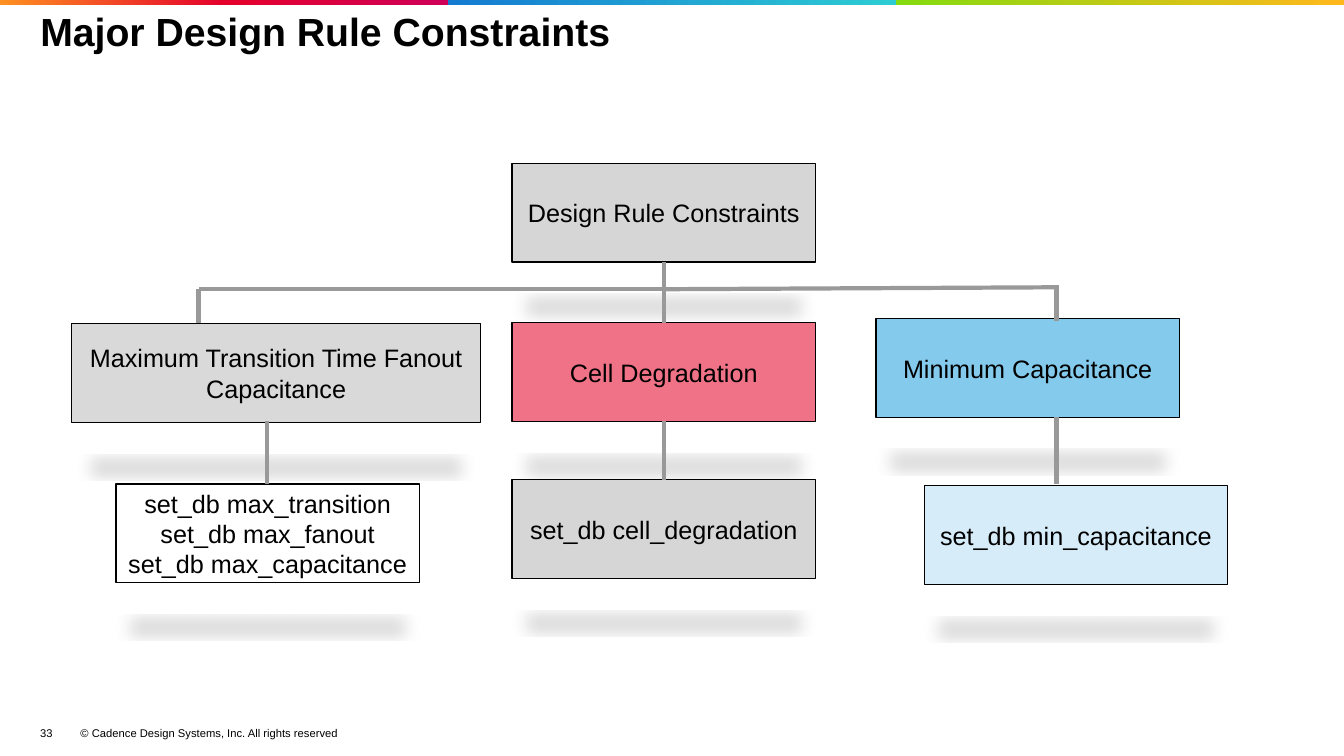
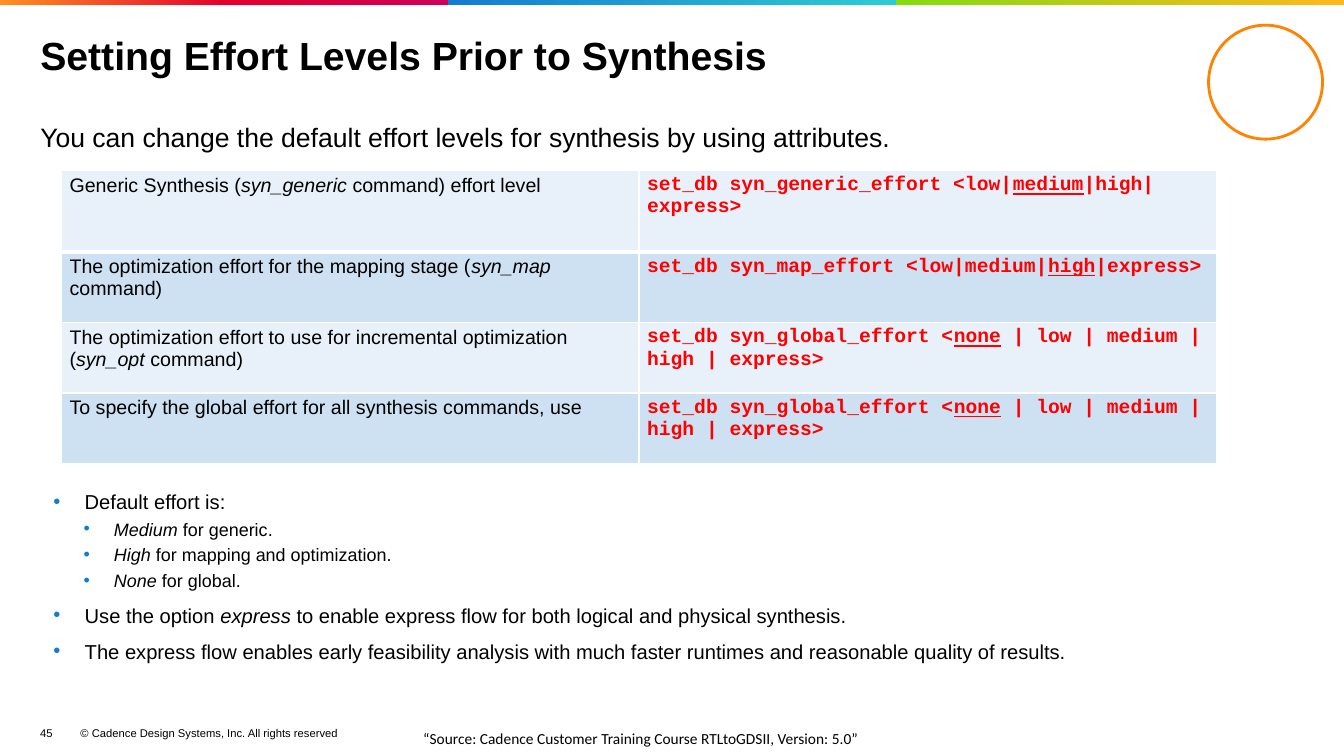
"""Build two slides on design rule constraints and synthesis effort levels."""
from dataclasses import dataclass

from lxml import etree
from pptx import Presentation
from pptx import util as u
from pptx.dml import color
from pptx.enum import shapes, text
from pptx.oxml import ns, parse_xml

Pt = u.Pt
COLORS = {
    "ink": "000000", "paper": "FFFFFF", "line": "999999", "bullet": "147BD1",
    "code": "FF0000", "ring": "FF8200", "grey": "D6D6D6", "light_grey": "D9D9D9",
    "pink": "F07286", "blue": "83CAEC", "pale_blue": "D6EDF9",
    "row_light": "E8F1F9", "row_dark": "CEE1F3",
}
BANDS = (("FF9021", "E4002B", "CE0058"), ("147BD1", "2DCCD3"), ("84DB0F", "FFB81C"))
A_NS = ns.nsdecls("a")
WIDTH, HEIGHT = 960, 540
MARGIN, CONTENT_W = 21.6, 914.4
COPYRIGHT = "© Cadence Design Systems, Inc. All rights reserved"


@dataclass
class Box:
    text: str
    left: float
    top: float
    fill: str
    width: float = 216.7
    height: float = 70.6


@dataclass
class Link:
    x1: float
    y1: float
    x2: float
    y2: float


@dataclass
class Style:
    size: float
    font: str = "Arial"
    color: str = "ink"
    bold: bool = False
    emphasis: str = "italic"


@dataclass
class Bullet:
    text: str
    level: int = 0


@dataclass
class Level:
    size: float
    margin: float
    indent: float
    before: float


LEVELS = (Level(14.4, 29.5, -22.3, 12), Level(12.8, 50.4, -21.6, 6))
LABEL = Style(14)
CODE = Style(14, "Courier New", "code", True, "underline")

CENTER_X, LEFT_X, RIGHT_X, BUS_Y = 474.5, 141.8, 754.6, 206.6
BOXES = (
    Box("set_db min_capacitance", 660.2, 347, "pale_blue"),
    Box("Maximum Transition Time Fanout Capacitance", 51.1, 231.1, "light_grey", 292.3),
    Box("set_db cell_degradation", 365.8, 342.7, "grey"),
    Box("Cell Degradation", 365.8, 230.4, "pink"),
    Box("Design Rule Constraints", 365.8, 116.6, "grey"),
    Box("set_db max_transition\nset_db max_fanout\nset_db max_capacitance",
        82.8, 345.6, "paper"),
    Box("Minimum Capacitance", 625.7, 227.5, "blue"),
)
LINKS = (
    Link(CENTER_X, 187.2, CENTER_X, 230.4),
    Link(CENTER_X, BUS_Y, LEFT_X, BUS_Y),
    Link(LEFT_X, BUS_Y, LEFT_X, 230.4),
    Link(CENTER_X, BUS_Y, RIGHT_X, 205.2),
    Link(RIGHT_X, 203.8, RIGHT_X, 229),
    Link(190.8, 301, 190.8, 345.6),
    Link(CENTER_X, 301, CENTER_X, 342.7),
    Link(RIGHT_X, 298.1, RIGHT_X, 345.6),
)
EFFORTS = (
    ("Generic Synthesis (*syn_generic* command) effort level",
     "set_db syn_generic_effort <low|*medium*|high|express>"),
    ("The optimization effort for the mapping stage (*syn_map* command)",
     "set_db syn_map_effort <low|medium|*high*|express>"),
    ("The optimization effort to use for incremental optimization (*syn_opt *command)",
     "set_db syn_global_effort <*none* | low | medium | high | express>"),
    ("To specify the global effort for all synthesis commands, use",
     "set_db syn_global_effort <*none* | low | medium | high | express>"),
)
BULLETS = (
    Bullet("Default effort is:"),
    Bullet("*Medium *for generic.", 1),
    Bullet("*High* for mapping and optimization.", 1),
    Bullet("*None* for global.", 1),
    Bullet("Use the option *express *to enable express flow for both logical "
           "and physical synthesis."),
    Bullet("The express flow enables early feasibility analysis with much faster "
           "runtimes and reasonable quality of results."),
)


def rgb(name: str) -> color.RGBColor:
    return color.RGBColor.from_string(COLORS[name])


def set_font(font, style: Style) -> None:
    font.name, font.size, font.bold = style.font, Pt(style.size), style.bold
    font.color.rgb = rgb(style.color)


def write(p, marked: str, style: Style) -> None:
    for i, part in enumerate(marked.split("*")):
        if part:
            r = p.add_run()
            r.text = part
            set_font(r.font, style)
            if i % 2:
                setattr(r.font, style.emphasis, True)


def place(sp, left: float, top: float, width: float, height: float) -> None:
    sp.left, sp.top, sp.width, sp.height = Pt(left), Pt(top), Pt(width), Pt(height)


def add_bands(prs, s) -> None:
    width = WIDTH / len(BANDS)
    for i, stops in enumerate(BANDS):
        sp = s.shapes.add_shape(shapes.MSO_SHAPE.RECTANGLE, Pt(i * width), 0,
                                Pt(width), Pt(3.6))
        sp.shadow.inherit = False
        sp.line.fill.background()
        sp.fill.gradient()
        sp.fill.gradient_angle = 0
        stop_list = sp.element.xpath(".//a:gsLst")[0]
        for old in list(stop_list):
            stop_list.remove(old)
        for j, value in enumerate(stops):
            pos = 100000 * j // (len(stops) - 1)
            stop_list.append(parse_xml(
                f'<a:gs {A_NS} pos="{pos}"><a:srgbClr val="{value}"/></a:gs>'))
        sp.element.xpath(".//p:cNvPr")[0].set("id", str(100 + i))
        prs.slide_master.shapes.element.append(sp.element)


def add_label(s, words: str, left: float, top: float, width: float,
              height: float, style: Style, anchor=text.MSO_ANCHOR.MIDDLE) -> None:
    tf = s.shapes.add_textbox(Pt(left), Pt(top), Pt(width), Pt(height)).text_frame
    tf.word_wrap = True
    tf.vertical_anchor = anchor
    write(tf.paragraphs[0], words, style)


def add_frame(s, title: str, number: int, title_height: float) -> None:
    sp = s.shapes.title
    place(sp, MARGIN, 7.2, CONTENT_W, title_height)
    tf = sp.text_frame
    tf.auto_size = text.MSO_AUTO_SIZE.NONE
    tf.vertical_anchor = text.MSO_ANCHOR.MIDDLE
    tf.margin_top = tf.margin_bottom = 0
    p = tf.paragraphs[0]
    p.alignment = text.PP_ALIGN.LEFT
    p.line_spacing = 0.9
    write(p, title, Style(28, bold=True))
    add_label(s, COPYRIGHT, 50.4, 514.8, 216, 18, Style(8))
    add_label(s, str(number), MARGIN, 514.8, 28.8, 18, Style(8))


def add_box(s, box: Box) -> None:
    sp = s.shapes.add_shape(shapes.MSO_SHAPE.RECTANGLE, Pt(box.left), Pt(box.top),
                            Pt(box.width), Pt(box.height))
    sp.fill.solid()
    sp.fill.fore_color.rgb = rgb(box.fill)
    sp.line.color.rgb = rgb("ink")
    sp.line.width = Pt(1)
    sp.shadow.inherit = False
    sp.element.xpath("./p:spPr/a:effectLst")[0].append(parse_xml(
        f'<a:outerShdw {A_NS} blurRad="152400" dist="317500" dir="5400000" '
        'sx="90000" sy="-19000" rotWithShape="0"><a:srgbClr val="000000">'
        '<a:alpha val="15000"/></a:srgbClr></a:outerShdw>'))
    tf = sp.text_frame
    tf.word_wrap = True
    tf.vertical_anchor = text.MSO_ANCHOR.MIDDLE
    tf.margin_left = tf.margin_right = Pt(4)
    tf.text = box.text
    for p in tf.paragraphs:
        p.alignment = text.PP_ALIGN.CENTER
        for r in p.runs:
            set_font(r.font, Style(18))


def add_link(s, link: Link) -> None:
    line = s.shapes.add_connector(shapes.MSO_CONNECTOR.STRAIGHT, Pt(link.x1),
                                  Pt(link.y1), Pt(link.x2), Pt(link.y2))
    line.line.color.rgb = rgb("line")
    line.line.width = Pt(3)
    etree.SubElement(line.element.spPr, ns.qn("a:effectLst"))


def body_frame(sp, top: float, height: float):
    place(sp, MARGIN, top, CONTENT_W, height)
    tf = sp.text_frame
    tf.auto_size = text.MSO_AUTO_SIZE.NONE
    tf.margin_left = tf.margin_top = tf.margin_right = tf.margin_bottom = Pt(7.2)
    return tf


def add_intro(sp, words: str) -> None:
    p = body_frame(sp, 79.2, 36).paragraphs[0]
    props = p._p.get_or_add_pPr()
    props.set("marL", "0")
    props.set("indent", "0")
    etree.SubElement(props, ns.qn("a:buNone"))
    p.space_before = Pt(0)
    write(p, words, Style(19))


def add_bullets(sp, bullets: tuple[Bullet, ...]) -> None:
    tf = body_frame(sp, 346, 140)
    sp.left = Pt(23.8)
    for i, bullet in enumerate(bullets):
        p = tf.add_paragraph() if i else tf.paragraphs[0]
        level = LEVELS[bullet.level]
        props = p._p.get_or_add_pPr()
        props.set("marL", str(Pt(level.margin)))
        props.set("indent", str(Pt(level.indent)))
        for xml in (f'<a:buClr {A_NS}><a:srgbClr val="{COLORS["bullet"]}"/></a:buClr>',
                    f'<a:buFont {A_NS} typeface="Arial"/>',
                    f'<a:buChar {A_NS} char="•"/>'):
            props.append(parse_xml(xml))
        p.level = bullet.level
        p.line_spacing = 0.8
        p.space_before = Pt(level.before if i else 0)
        write(p, bullet.text, Style(level.size))


def format_cell(cell, fill: str, bottom: float) -> None:
    cell.margin_left = cell.margin_right = Pt(5.8)
    cell.margin_top = cell.margin_bottom = Pt(2.9)
    cell.fill.solid()
    cell.fill.fore_color.rgb = rgb(fill)
    props = cell._tc.get_or_add_tcPr()
    for i, (side, width) in enumerate((("L", 1), ("R", 1), ("T", 1), ("B", bottom))):
        props.insert(i, parse_xml(
            f'<a:ln{side} {A_NS} w="{Pt(width)}"><a:solidFill>'
            f'<a:srgbClr val="{COLORS["paper"]}"/></a:solidFill></a:ln{side}>'))


def add_efforts(s) -> None:
    heights = (58.3, 50.4, 50.4, 50.4)
    table = s.shapes.add_table(len(EFFORTS), 2, Pt(43.9), Pt(121.7),
                               Pt(825.2), Pt(sum(heights))).table
    table.first_row = table.horz_banding = False
    for column in table.columns:
        column.width = Pt(412.6)
    for i, (words, height) in enumerate(zip(EFFORTS, heights)):
        table.rows[i].height = Pt(height)
        for j, style in enumerate((LABEL, CODE)):
            cell = table.cell(i, j)
            format_cell(cell, "row_dark" if i % 2 else "row_light", 1 if i else 3)
            write(cell.text_frame.paragraphs[0], words[j], style)


def main() -> None:
    prs = Presentation()
    prs.slide_width, prs.slide_height = Pt(WIDTH), Pt(HEIGHT)

    s = prs.slides.add_slide(prs.slide_layouts[5])
    add_bands(prs, s)
    add_frame(s, "Major Design Rule Constraints", 33, 34)
    for box in BOXES:
        add_box(s, box)
    for link in LINKS:
        add_link(s, link)

    s = prs.slides.add_slide(prs.slide_layouts[3])
    add_frame(s, "Setting Effort Levels Prior to Synthesis", 45, 68.4)
    add_intro(s.placeholders[1], "You can change the default effort levels for "
              "synthesis by using attributes.")
    add_bullets(s.placeholders[2], BULLETS)
    add_efforts(s)
    ring = s.shapes.add_shape(shapes.MSO_SHAPE.OVAL, Pt(863.3), Pt(18), Pt(81.4), Pt(81.4))
    ring.shadow.inherit = False
    ring.fill.solid()
    ring.fill.fore_color.rgb = rgb("paper")
    ring.line.color.rgb = rgb("ring")
    ring.line.width = Pt(2)
    add_label(s, "“Source: Cadence Customer Training Course RTLtoGDSII, Version: 5.0”",
              295.2, 517, 482.4, 20.9, Style(11, "Calibri"), text.MSO_ANCHOR.TOP)
    prs.save("out.pptx")


if __name__ == "__main__":
    main()
